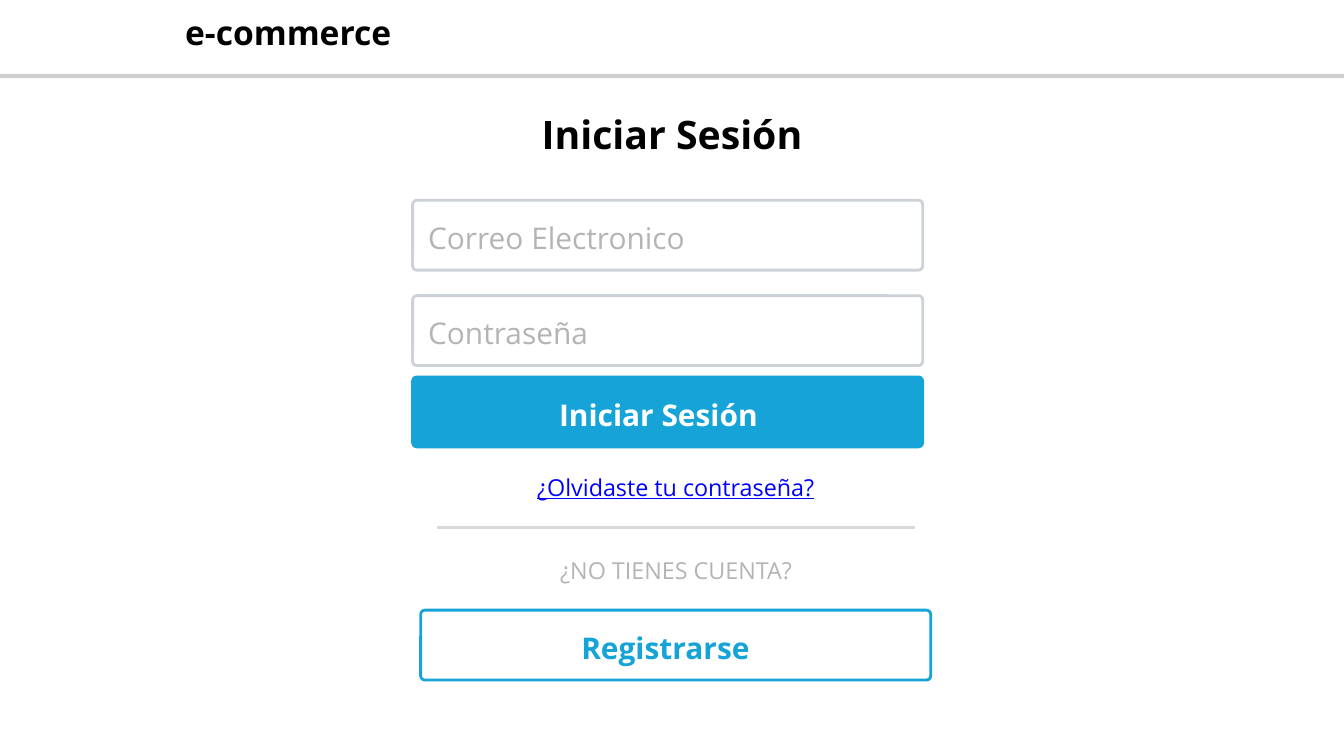
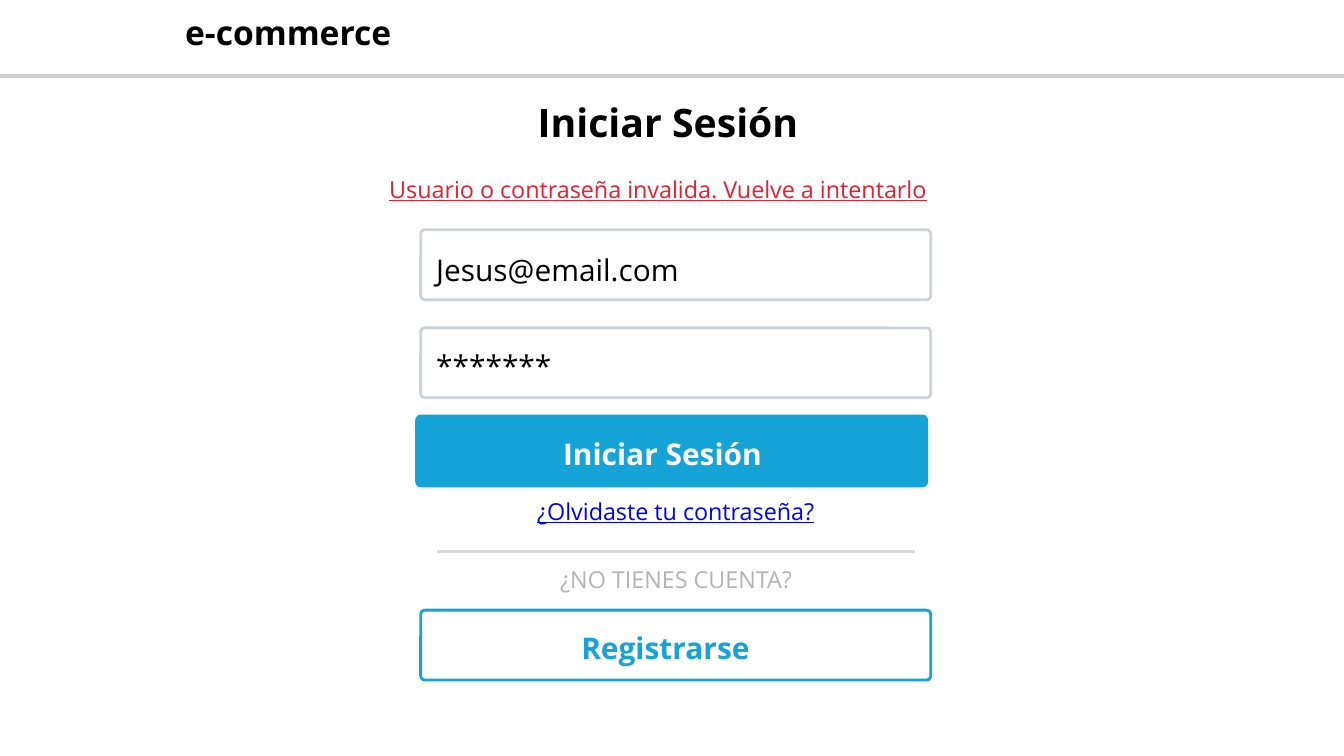
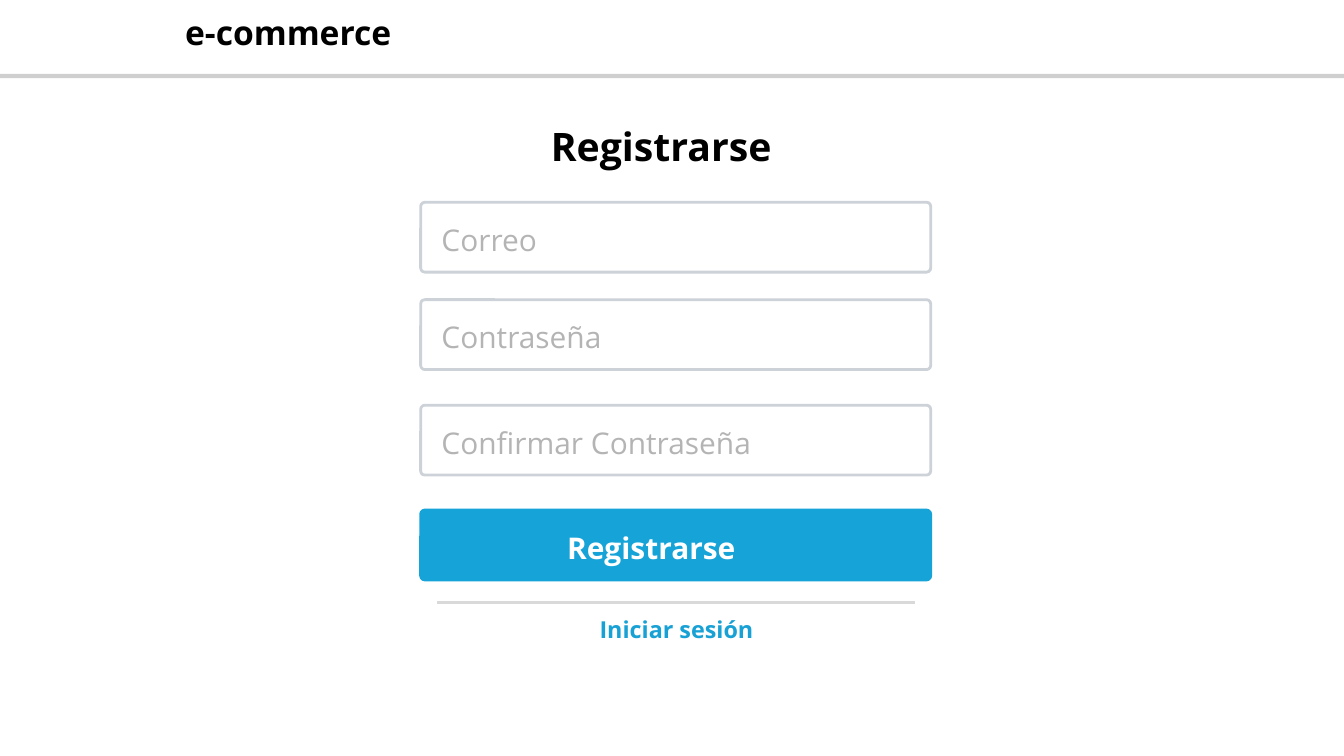
"""Build the three login and sign-up screens of an e-commerce site."""
from typing import NamedTuple

from pptx import Presentation
from pptx.dml.color import RGBColor
from pptx.enum.shapes import MSO_CONNECTOR, MSO_SHAPE as Form
from pptx.enum.text import MSO_AUTO_SIZE as Fit, PP_ALIGN as Align
from pptx.oxml.ns import qn
from pptx.oxml.xmlchemy import OxmlElement as Node
from pptx.shapes.autoshape import Shape
from pptx.slide import Slide
from pptx.util import Inches, Pt

WIDTH, HEIGHT = Inches(20), Inches(11.25)
COLS, ROWS = 20, 11.25
FONT = "Open Sans"
BLACK, WHITE, BLUE, GREY = "000000", "FFFFFF", "16A4D8", "B4B4B4"
EDGE, RULE, LINK, RED, SKY = "CCD2D8", "D9D9D9", "0000FF", "ED1C2E", "18A1D5"
BOX_W, BOX_H, ROUND = 7.59, 1.04, 0.06
LEADING = 1.4


class Style(NamedTuple):
    size: int
    ink: str
    bold: bool = False
    under: bool = False
    align: Align = Align.CENTER


class Label(NamedTuple):
    text: str
    left: float
    top: float
    width: float
    style: Style
    height: float = 0.47


class Look(NamedTuple):
    style: Style
    edge: str
    fill: str | None = None


class Box(NamedTuple):
    text: str
    left: float
    top: float
    look: Look
    indent: float
    drop: float = 0.2
    width: float = 3.24


class Page(NamedTuple):
    labels: list[Label]
    boxes: list[Box]
    rule: float


BRAND = Style(36, BLACK, bold=True)
TITLE = Style(42, BLACK, bold=True)
HINT = Style(25, GREY)
HELP = Style(25, LINK, under=True)
ALERT = Style(25, RED, under=True)
SWITCH = Style(25, SKY, bold=True)

EMPTY = Look(Style(32, GREY, align=Align.LEFT), EDGE)
FILLED = Look(Style(32, BLACK, align=Align.LEFT), EDGE)
SOLID = Look(Style(32, WHITE, bold=True, align=Align.LEFT), BLUE, BLUE)
HOLLOW = Look(Style(32, BLUE, bold=True, align=Align.LEFT), BLUE)


def col(count: float) -> int:
    return round(WIDTH * count / COLS)


def row(count: float) -> int:
    return round(HEIGHT * count / ROWS)


def color(code: str) -> RGBColor:
    return RGBColor.from_string(code)


def write(slide: Slide, label: Label) -> None:
    style = label.style
    frame = slide.shapes.add_textbox(
        col(label.left), row(label.top), col(label.width), row(label.height)
    ).text_frame
    frame.margin_left = frame.margin_right = 0
    frame.margin_top = frame.margin_bottom = 0
    frame.word_wrap = True
    frame.auto_size = Fit.SHAPE_TO_FIT_TEXT
    para = frame.paragraphs[0]
    para.text = label.text
    para.alignment = style.align
    para.line_spacing = Pt(style.size * LEADING)
    font = para.font
    font.name, font.size = FONT, Pt(style.size)
    font.bold, font.underline = style.bold, style.under
    font.color.rgb = color(style.ink)


def panel(slide: Slide, form: Form, area: tuple[float, float, float, float],
          fill: str | None, edge: str, weight: float) -> Shape:
    left, top, width, height = area
    shape = slide.shapes.add_shape(
        form, col(left), row(top), col(width), row(height))
    shape.shadow.inherit = False
    if fill:
        shape.fill.solid()
        shape.fill.fore_color.rgb = color(fill)
    else:
        shape.fill.background()
    shape.line.color.rgb = color(edge)
    shape.line.width = Pt(weight)
    return shape


def header(slide: Slide) -> None:
    band = panel(slide, Form.RECTANGLE, (-0.54, -0.21, 20.83, 1.34),
                 WHITE, BLACK, 4.5)
    for tint in band.element.spPr.iter(qn("a:srgbClr")):
        alpha = Node("a:alpha")
        alpha.set("val", "18000")
        tint.append(alpha)
    write(slide, Label("e-commerce", 2.75, 0.08, 3.08, BRAND, 0.67))


def draw(slide: Slide, box: Box) -> None:
    look = box.look
    shape = panel(slide, Form.ROUNDED_RECTANGLE,
                  (box.left, box.top, BOX_W, BOX_H), look.fill, look.edge, 3)
    shape.adjustments[0] = ROUND
    write(slide, Label(box.text, box.left + box.indent, box.top + box.drop,
                       box.width, look.style, 0.59))


def divide(slide: Slide, top: float) -> None:
    line = slide.shapes.add_connector(
        MSO_CONNECTOR.STRAIGHT, col(6.51), row(top), col(13.61), row(top))
    line.line.color.rgb = color(RULE)
    line.line.width = Pt(3)
    line.element.spPr.append(Node("a:effectLst"))


def title(text: str, left: float, top: float, width: float = 3.88) -> Label:
    return Label(text, left, top, width, TITLE, 0.78)


def prompts(top: float, gap: float) -> list[Label]:
    return [Label("¿Olvidaste tu contraseña?", 7.99, top, 4.13, HELP),
            Label("¿NO TIENES CUENTA?", 8.32, top + gap, 3.48, HINT)]


def button(text: str, left: float, top: float) -> Box:
    return Box(text, left, top, SOLID, 2.18, 0.21)


JOIN = Box("Registrarse", 6.26, 9.08, HOLLOW, 2.39, width=2.59)

PAGES = [
    Page([title("Iniciar Sesión", 8.06, 1.52), *prompts(6.97, 1.23)],
         [Box("Correo Electronico", 6.14, 2.98, EMPTY, 0.23, width=4.2),
          Box("Contraseña", 6.14, 4.4, EMPTY, 0.23),
          button("Iniciar Sesión", 6.14, 5.61), JOIN],
         7.85),
    Page([title("Iniciar Sesión", 8, 1.34), *prompts(7.33, 1.01),
          Label("Usuario o contraseña invalida. Vuelve a intentarlo",
                5.78, 2.53, 8.02, ALERT)],
         [Box("Jesus@email.com", 6.26, 3.42, FILLED, 0.23, 0.23, 3.96),
          Box("*******", 6.26, 4.88, FILLED, 0.23),
          button("Iniciar Sesión", 6.2, 6.19), JOIN],
         8.21),
    Page([title("Registrarse ", 8.19, 1.71, 3.45),
          Label("Iniciar sesión", 8.92, 9.09, 2.29, SWITCH)],
         [Box("Correo", 6.26, 3.01, EMPTY, 0.31),
          Box("Contraseña", 6.26, 4.46, EMPTY, 0.31),
          Box("Confirmar Contraseña", 6.26, 6.03, EMPTY, 0.31, width=4.86),
          button("Registrarse", 6.26, 7.59)],
         8.96),
]


def main() -> None:
    deck = Presentation()
    deck.slide_width, deck.slide_height = WIDTH, HEIGHT
    for page in PAGES:
        slide = deck.slides.add_slide(deck.slide_layouts[6])
        header(slide)
        for box in page.boxes:
            draw(slide, box)
        divide(slide, page.rule)
        for label in page.labels:
            write(slide, label)
    deck.save("out.pptx")


if __name__ == "__main__":
    main()
